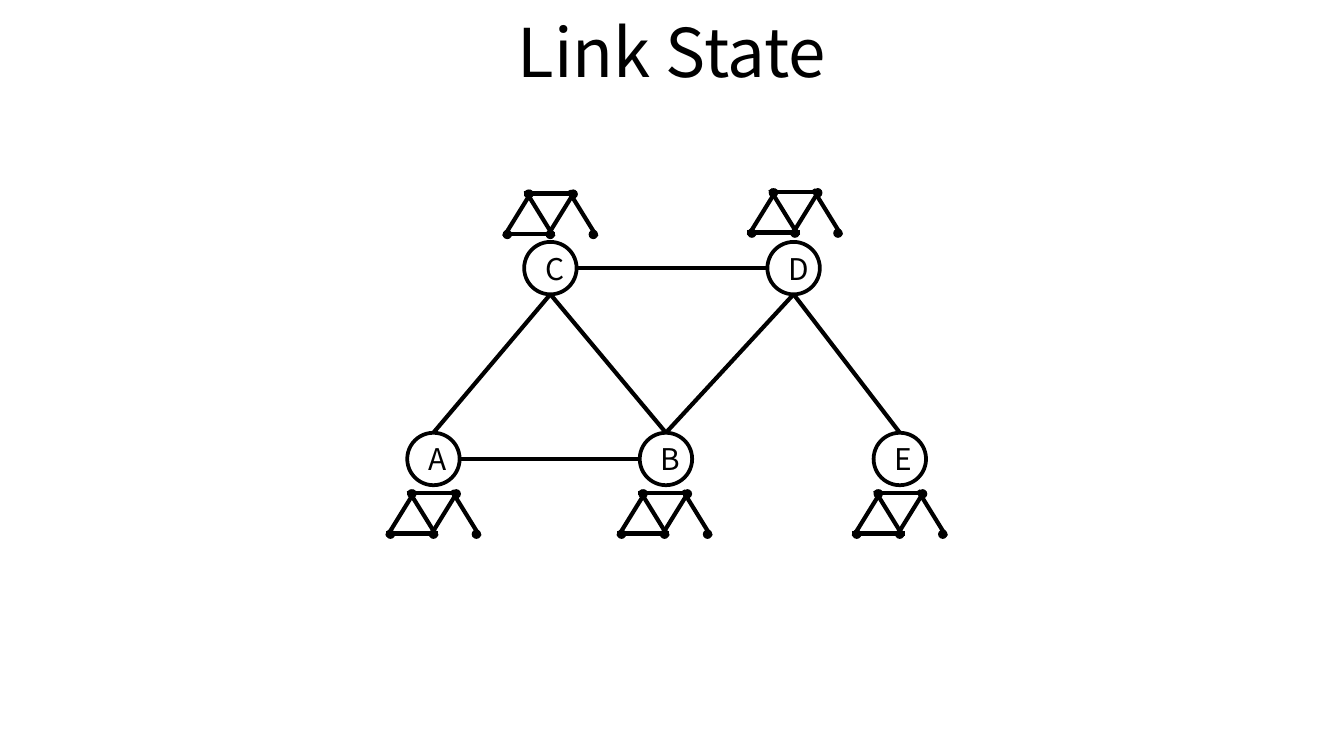
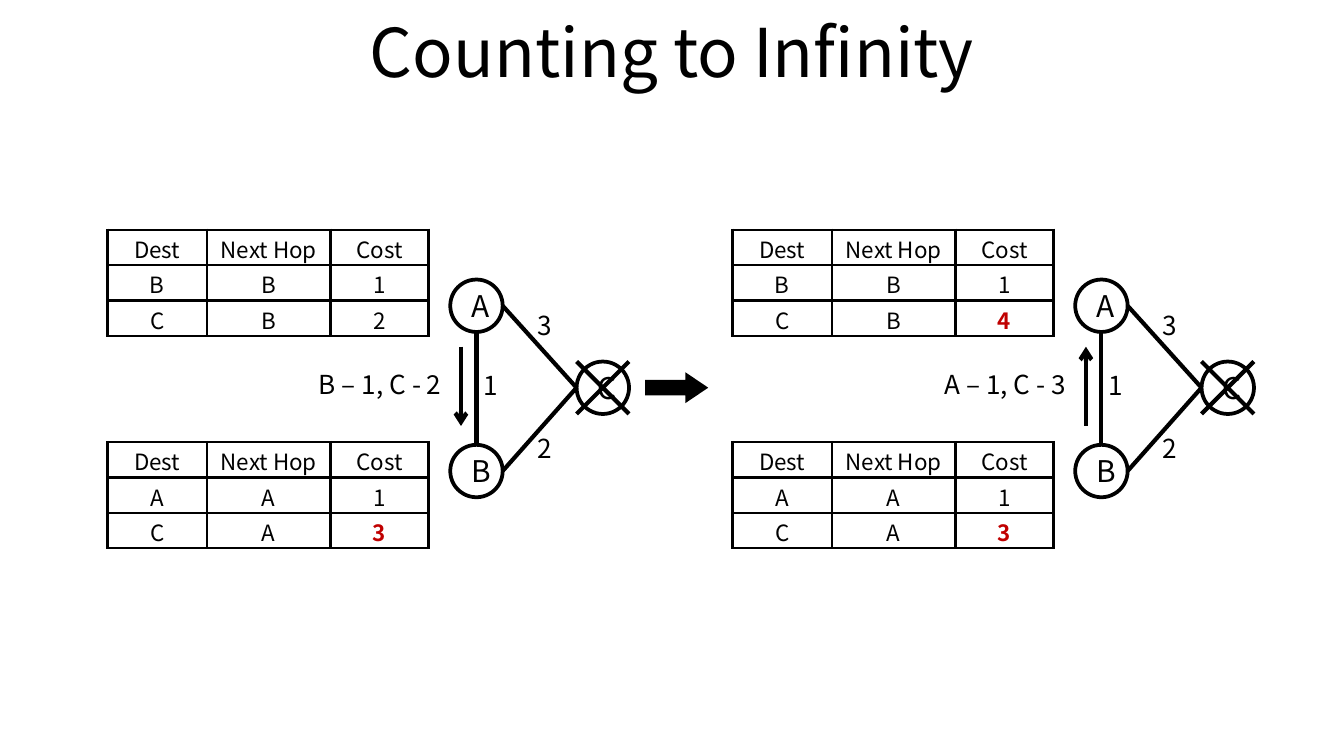
"""Build two slides on routing: link state and counting to infinity."""
from dataclasses import dataclass
from typing import Any, NamedTuple

from lxml import etree
from pptx import Presentation
from pptx.dml.color import RGBColor
from pptx.enum import shapes, text
from pptx.oxml import ns
from pptx.util import Inches, Pt


@dataclass(frozen=True)
class Theme:
    font: str = "Noto Sans CJK KR"
    ink: str = "000000"
    paper: str = "FFFFFF"
    changed: str = "C00000"
    title: float = 36
    node: float = 16
    label: float = 14
    cell: float = 12
    outline: float = 2
    link: float = 2.25
    border: float = 1.5


T = Theme()
SLIDE_WIDTH = 10
SLIDE_HEIGHT = SLIDE_WIDTH * 9 / 16
NODE_SIZE = 0.39
DOT_SIZE = 0.07
PANEL_STEP = 4.65


class Point(NamedTuple):
    x: float
    y: float


class Node(NamedTuple):
    name: str
    x: float
    y: float

    def side(self, name: str) -> Point:
        half = NODE_SIZE / 2
        dx, dy = {"top": (0, -half), "left": (-half, 0),
                  "bottom": (0, half), "right": (half, 0)}[name]
        return Point(self.x + half + dx, self.y + half + dy)


class Link(NamedTuple):
    start: str
    start_side: str
    end: str
    end_side: str


class Label(NamedTuple):
    words: str
    x: float
    y: float
    w: float = 0.31


class RouteTable(NamedTuple):
    y: float
    rows: tuple[tuple[str, str, str], ...]
    changed: bool


class Panel(NamedTuple):
    x: float
    update: str
    arrow_end: str
    tables: tuple[RouteTable, ...]


NETWORK = (Node("A", 3.03, 3.22), Node("B", 4.76, 3.22), Node("C", 3.9, 1.8),
           Node("D", 5.71, 1.8), Node("E", 6.5, 3.22))
NETWORK_LINKS = (
    Link("A", "top", "C", "bottom"), Link("B", "top", "C", "bottom"),
    Link("B", "top", "D", "bottom"), Link("E", "top", "D", "bottom"),
    Link("B", "left", "A", "right"), Link("D", "left", "C", "right"))
MAP_ORIGINS = (Point(3.74, 1.41), Point(2.87, 3.64), Point(4.59, 3.64),
               Point(6.34, 3.64), Point(5.56, 1.4))
MAP_DOTS = (Point(0.16, 0), Point(0.49, 0), Point(0, 0.3),
            Point(0.32, 0.3), Point(0.64, 0.3))
MAP_LINES = (
    (Point(0.01, 0.35), Point(0.22, 0.01)), (Point(0.38, 0.35), Point(0.17, 0.01)),
    (Point(0.7, 0.35), Point(0.49, 0.01)), (Point(0.33, 0.35), Point(0.54, 0.01)),
    (Point(0.39, 0.33), Point(0, 0.33)), (Point(0.55, 0.03), Point(0.16, 0.03)))

TRIANGLE = (Node("A", 3.35, 2.08), Node("B", 3.35, 3.31), Node("C", 4.29, 2.69))
TRIANGLE_LINKS = (Link("A", "right", "C", "left"), Link("B", "right", "C", "left"),
                  Link("B", "top", "A", "bottom"))
COSTS = (Label("1", 3.5, 2.7), Label("2", 3.9, 3.17), Label("3", 3.9, 2.25))
HEADER = ("Dest", "Next Hop", "Cost")
COLUMNS = (0.74, 0.92, 0.73)
TABLE_HEIGHT = 0.79
B_ROUTES = RouteTable(3.29, (("A", "A", "1"), ("C", "A", "3")), True)
PANELS = (
    Panel(0, "B – 1, C - 2", "tailEnd",
          (RouteTable(1.71, (("B", "B", "1"), ("C", "B", "2")), False), B_ROUTES)),
    Panel(PANEL_STEP, "A – 1, C - 3", "headEnd",
          (RouteTable(1.71, (("B", "B", "1"), ("C", "B", "4")), True), B_ROUTES)))


def rgb(color: str) -> RGBColor:
    """Turn a hex string into a colour."""
    return RGBColor.from_string(color)


def assign(target: Any, values: dict[str, Any]) -> None:
    """Set every attribute named in the dict."""
    for name, value in values.items():
        setattr(target, name, value)


def write(tf: Any, words: str, size: float, color: str = T.ink,
          bold: bool = False) -> None:
    """Write one centred run."""
    p = tf.paragraphs[0]
    p.alignment = text.PP_ALIGN.CENTER
    r = p.add_run()
    r.text = words
    assign(r.font, {"name": T.font, "size": Pt(size), "bold": bold})
    r.font.color.rgb = rgb(color)


def add_filled(parent: Any, kind: Any, x: float, y: float, w: float, h: float,
               fill: str = T.ink) -> Any:
    """Add a preset shape with a plain fill and no line."""
    sp = parent.shapes.add_shape(kind, Inches(x), Inches(y), Inches(w), Inches(h))
    sp.shadow.inherit = False
    sp.fill.solid()
    sp.fill.fore_color.rgb = rgb(fill)
    sp.line.fill.background()
    return sp


def add_line(parent: Any, start: Point, end: Point, arrow_end: str = "") -> None:
    """Add a straight line, with an arrowhead at the named end."""
    c = parent.shapes.add_connector(
        shapes.MSO_CONNECTOR.STRAIGHT, Inches(start.x), Inches(start.y),
        Inches(end.x), Inches(end.y))
    c.line.width = Pt(T.link)
    c.line.color.rgb = rgb(T.ink)
    sp_pr = c._element.spPr
    if arrow_end:
        etree.SubElement(sp_pr.find(ns.qn("a:ln")), ns.qn(f"a:{arrow_end}"), type="arrow")
    etree.SubElement(sp_pr, ns.qn("a:effectLst"))


def add_title(s: Any, words: str) -> None:
    """Add the slide title."""
    tf = s.shapes.add_textbox(Inches(0.5), Inches(-0.02), Inches(9), Inches(0.79)).text_frame
    assign(tf, {"word_wrap": True, "vertical_anchor": text.MSO_ANCHOR.MIDDLE})
    write(tf, words, T.title)


def add_label(s: Any, label: Label, dx: float) -> None:
    """Add a label that grows with its text."""
    tf = s.shapes.add_textbox(Inches(label.x + dx), Inches(label.y),
                              Inches(label.w), Inches(0.34)).text_frame
    assign(tf, {"word_wrap": False, "auto_size": text.MSO_AUTO_SIZE.SHAPE_TO_FIT_TEXT})
    write(tf, label.words, T.label)


def add_network(s: Any, nodes: tuple[Node, ...], links: tuple[Link, ...],
                dx: float = 0) -> dict[str, Node]:
    """Draw routers and the links between them."""
    placed = {n.name: n._replace(x=n.x + dx) for n in nodes}
    for n in placed.values():
        sp = add_filled(s, shapes.MSO_SHAPE.OVAL, n.x, n.y, NODE_SIZE, NODE_SIZE, T.paper)
        sp.line.color.rgb = rgb(T.ink)
        sp.line.width = Pt(T.outline)
        sp.text_frame.vertical_anchor = text.MSO_ANCHOR.MIDDLE
        write(sp.text_frame, n.name, T.node)
    for link in links:
        add_line(s, placed[link.start].side(link.start_side),
                 placed[link.end].side(link.end_side))
    return placed


def add_map(s: Any, origin: Point) -> None:
    """Draw a grouped small map of the network."""
    group = s.shapes.add_group_shape()
    for dot in MAP_DOTS:
        add_filled(group, shapes.MSO_SHAPE.OVAL, origin.x + dot.x, origin.y + dot.y,
                   DOT_SIZE, DOT_SIZE)
    for ends in MAP_LINES:
        add_line(group, *(Point(origin.x + p.x, origin.y + p.y) for p in ends))


def add_borders(cell: Any) -> None:
    """Draw a solid line on all four sides of a cell."""
    tc_pr = cell._tc.get_or_add_tcPr()
    for i, side in enumerate(("lnL", "lnR", "lnT", "lnB")):
        ln = etree.Element(ns.qn(f"a:{side}"), w=str(Pt(T.border)))
        fill = etree.SubElement(ln, ns.qn("a:solidFill"))
        etree.SubElement(fill, ns.qn("a:srgbClr"), val=T.ink)
        tc_pr.insert(i, ln)


def add_routes(s: Any, routes: RouteTable, dx: float) -> None:
    """Add a routing table, with a changed last cost in red."""
    rows = (HEADER, *routes.rows)
    tbl = s.shapes.add_table(
        len(rows), len(COLUMNS), Inches(0.8 + dx), Inches(routes.y),
        Inches(sum(COLUMNS)), Inches(TABLE_HEIGHT)).table
    assign(tbl, {"first_row": False, "horz_banding": False})
    for col, width in zip(tbl.columns, COLUMNS):
        col.width = Inches(width)
    for i, row in enumerate(rows):
        tbl.rows[i].height = Inches(TABLE_HEIGHT / len(rows))
        for j, words in enumerate(row):
            cell = tbl.cell(i, j)
            assign(cell, {"margin_left": Inches(0.06), "margin_right": Inches(0.06),
                          "margin_top": Inches(0.02), "margin_bottom": 0})
            cell.fill.background()
            add_borders(cell)
            red = routes.changed and (i, j) == (len(rows) - 1, len(row) - 1)
            write(cell.text_frame, words, T.cell, T.changed if red else T.ink, red)


def add_panel(s: Any, panel: Panel) -> None:
    """Draw one step of the exchange with router C down."""
    dx = panel.x
    c = add_network(s, TRIANGLE, TRIANGLE_LINKS, dx)["C"]
    for cost in COSTS:
        add_label(s, cost, dx)
    right, bottom = c.x + NODE_SIZE, c.y + NODE_SIZE
    add_line(s, Point(right, bottom), Point(c.x, c.y))
    add_line(s, Point(c.x, bottom), Point(right, c.y))
    add_line(s, Point(3.43 + dx, 2.58), Point(3.43 + dx, 3.17), panel.arrow_end)
    for routes in panel.tables:
        add_routes(s, routes, dx)
    add_label(s, Label(panel.update, 2.22, 2.69, 1.22), dx)


def build_link_state(s: Any) -> None:
    """Build the link state slide."""
    add_title(s, "Link State")
    add_network(s, NETWORK, NETWORK_LINKS)
    for origin in MAP_ORIGINS:
        add_map(s, origin)


def build_counting(s: Any) -> None:
    """Build the counting to infinity slide."""
    add_title(s, "Counting to Infinity")
    for panel in PANELS:
        add_panel(s, panel)
    arrow = add_filled(s, shapes.MSO_SHAPE.RIGHT_ARROW, 4.8, 2.77, 0.47, 0.23)
    arrow.adjustments[0] = 0.5
    arrow.adjustments[1] = 0.74


def main() -> None:
    """Build and save the presentation."""
    prs = Presentation()
    assign(prs, {"slide_width": Inches(SLIDE_WIDTH), "slide_height": Inches(SLIDE_HEIGHT)})
    for build in (build_link_state, build_counting):
        build(prs.slides.add_slide(prs.slide_layouts[6]))
    prs.save("out.pptx")


if __name__ == "__main__":
    main()
